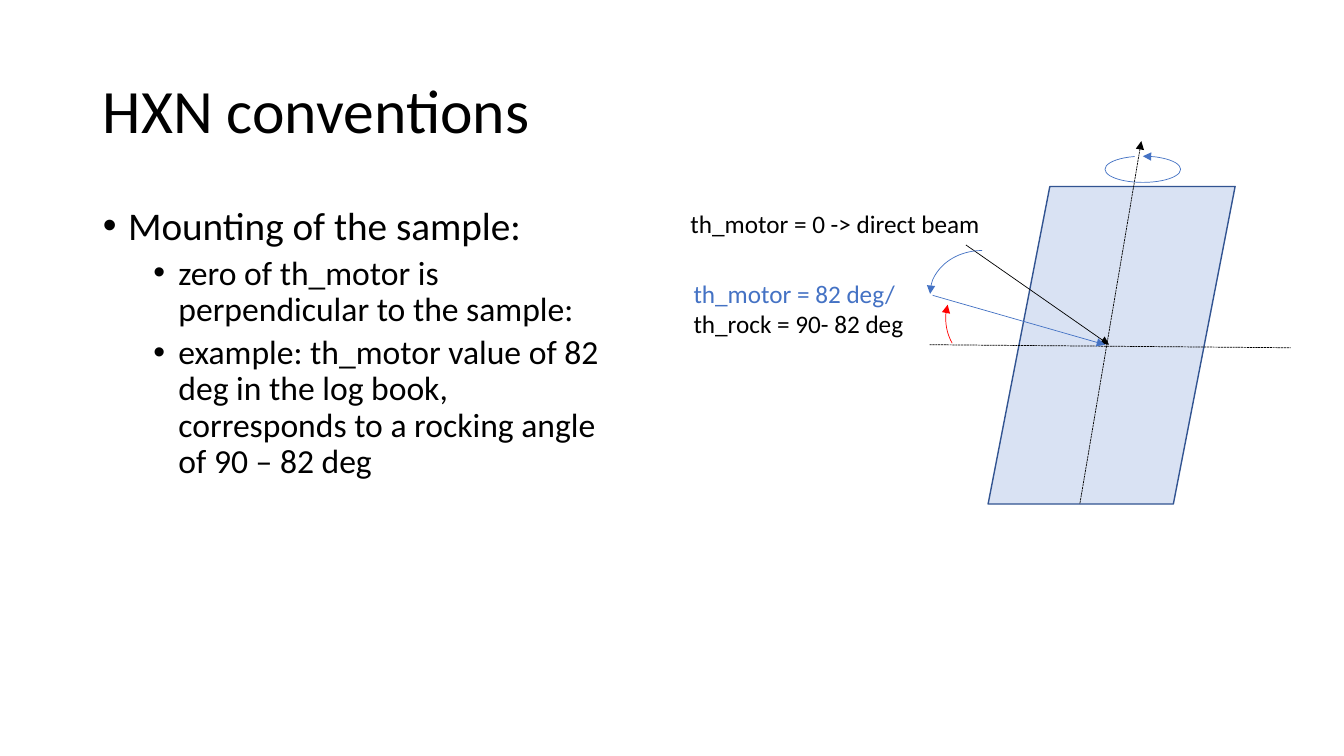
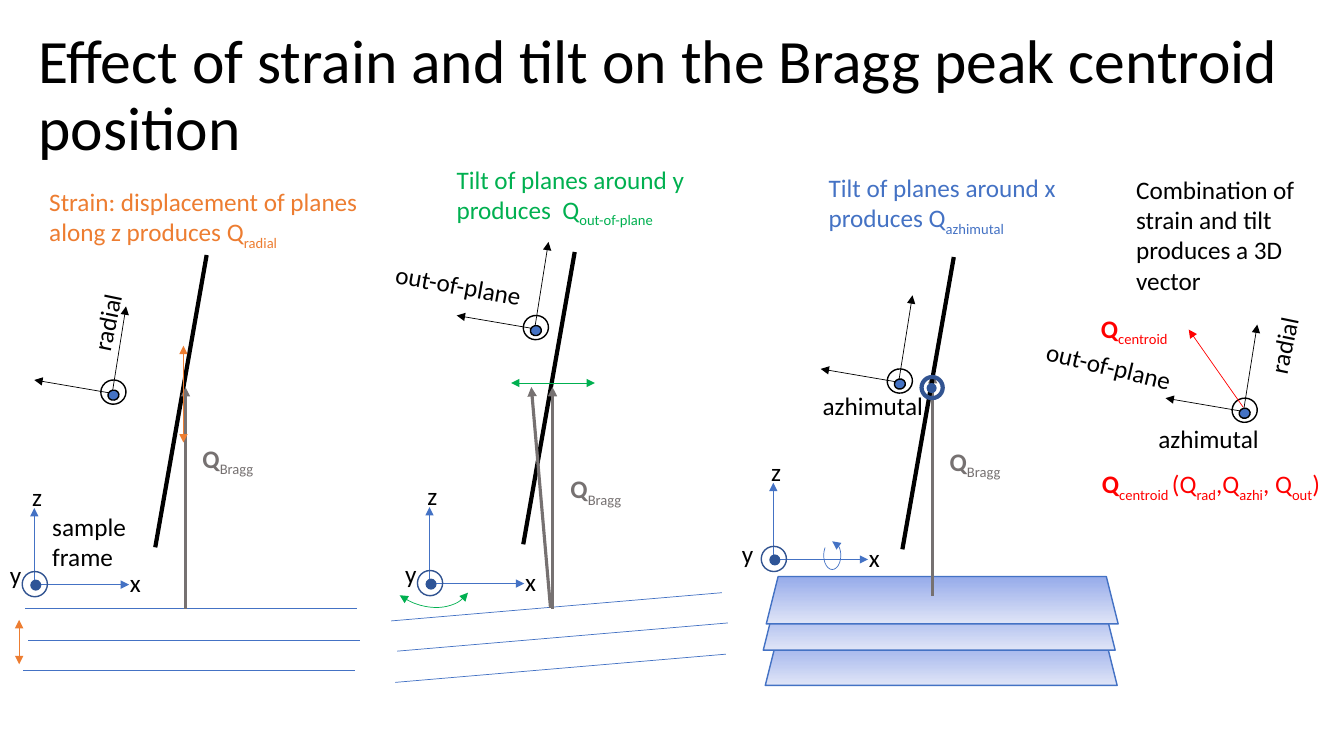
from dataclasses import dataclass
from typing import NamedTuple

from lxml import etree
from pptx import Presentation
from pptx import util as u
from pptx.dml.color import RGBColor
from pptx.enum import dml, shapes, text
from pptx.oxml import ns


@dataclass(frozen=True)
class Theme:
    font: str = "Calibri"
    black: str = "000000"
    blue: str = "4472C4"
    navy: str = "325491"
    deep_blue: str = "2F5597"
    orange: str = "ED7D31"
    green: str = "00B050"
    gray: str = "767171"
    red: str = "FF0000"
    slab_top: str = "96ABEA"
    slab_bottom: str = "E0E5F7"
    title: int = 44
    body: tuple[int, int] = (28, 24)
    label: int = 18
    thin: float = 0.5
    outline: float = 1
    medium: float = 2.25
    thick: float = 3


THEME = Theme()
SHAPE = shapes.MSO_SHAPE


class Point(NamedTuple):
    x: float
    y: float


class Box(NamedTuple):
    left: float
    top: float
    width: float
    height: float

    def lengths(self) -> list[u.Length]:
        return [u.Inches(value) for value in self]


@dataclass(frozen=True)
class Span:
    text: str
    color: str = THEME.black
    bold: bool = False
    subscript: bool = False


@dataclass(frozen=True)
class Stroke:
    color: str = THEME.black
    width: float = THEME.thin
    head: bool = False
    tail: bool = False
    dashed: bool = False


ARROW = Stroke(tail=True)
BLUE_LINE = Stroke(THEME.blue)
BLUE_ARROW = Stroke(THEME.blue, tail=True)
BLUE_START = Stroke(THEME.blue, head=True)
ORANGE_SPAN = Stroke(THEME.orange, head=True, tail=True)
GREEN_SPAN = Stroke(THEME.green, head=True, tail=True)
RED_ARROW = Stroke(THEME.red, tail=True)
BLACK_RING = Stroke(width=THEME.outline)
NAVY_RING = Stroke(THEME.navy, THEME.outline)
BLUE_EDGE = Stroke(THEME.blue, THEME.outline)
DASHES = Stroke(dashed=True)


def apply_stroke(item, stroke: Stroke) -> None:
    item.line.color.rgb = RGBColor.from_string(stroke.color)
    item.line.width = u.Pt(stroke.width)
    if stroke.dashed:
        item.line.dash_style = dml.MSO_LINE.SQUARE_DOT
    outline = item.element.spPr.get_or_add_ln()
    for tag, shown in (("a:headEnd", stroke.head), ("a:tailEnd", stroke.tail)):
        if shown:
            etree.SubElement(outline, ns.qn(tag), type="triangle")


def add_line(page, start: tuple, end: tuple, stroke: Stroke = ARROW) -> None:
    ends = [u.Inches(value) for value in (*start, *end)]
    connector = page.shapes.add_connector(shapes.MSO_CONNECTOR.STRAIGHT, *ends)
    apply_stroke(connector, stroke)
    etree.SubElement(connector.element.spPr, ns.qn("a:effectLst"))


def add_figure(page, kind, box: Box, stroke: Stroke | None = None,
               fill: str | None = None, rotation: float = 0):
    figure = page.shapes.add_shape(kind, *box.lengths())
    figure.shadow.inherit = False
    figure.rotation = rotation
    if fill:
        figure.fill.solid()
        figure.fill.fore_color.rgb = RGBColor.from_string(fill)
    else:
        figure.fill.background()
    if stroke:
        apply_stroke(figure, stroke)
    else:
        figure.line.fill.background()
    return figure


def add_arc(page, box: Box, stroke: Stroke, rotation: float = 0,
            end: float = 0) -> None:
    arc = add_figure(page, SHAPE.ARC, box, stroke, rotation=rotation)
    arc.adjustments[0] = 162
    arc.adjustments[1] = end


def add_label(page, box: Box, *spans: Span, wrap: bool = False,
              rotation: float = 0) -> None:
    label = page.shapes.add_textbox(*box.lengths())
    label.rotation = rotation
    frame = label.text_frame
    frame.word_wrap = wrap
    frame.auto_size = text.MSO_AUTO_SIZE.SHAPE_TO_FIT_TEXT
    para = frame.paragraphs[0]
    para.font.name = THEME.font
    para.font.size = u.Pt(THEME.label)
    for item in spans:
        span = para.add_run()
        span.text = item.text
        span.font.color.rgb = RGBColor.from_string(item.color)
        span.font.bold = item.bold
        if item.subscript:
            span.font._element.set("baseline", "-25000")


def place(holder, box: Box) -> None:
    holder.left, holder.top, holder.width, holder.height = box.lengths()
    holder.text_frame.auto_size = text.MSO_AUTO_SIZE.NONE


def format_para(para, size: int) -> None:
    para.alignment = text.PP_ALIGN.LEFT
    para.line_spacing = 0.9
    para.font.name = THEME.font
    para.font.size = u.Pt(size)
    para.font.color.rgb = RGBColor.from_string(THEME.black)


def add_page(deck, layout: int, title: str, box: Box):
    page = deck.slides.add_slide(deck.slide_layouts[layout])
    holder = page.shapes.title
    place(holder, box)
    holder.text_frame.vertical_anchor = text.MSO_ANCHOR.MIDDLE
    holder.text_frame.text = title
    format_para(holder.text_frame.paragraphs[0], THEME.title)
    return page


def fill_body(holder, box: Box, items: list[tuple[int, str]]) -> None:
    place(holder, box)
    frame = holder.text_frame
    frame.text = "\n".join(words for _, words in items)
    for para, (level, _) in zip(frame.paragraphs, items):
        para.level = level
        format_para(para, THEME.body[level])
        para.space_before = u.Pt(5 if level else 10)
        properties = para._p.get_or_add_pPr()
        properties.set("marL", str(u.Inches(0.25 + 0.5 * level)))
        properties.set("indent", str(u.Inches(-0.25)))
        bullet = etree.Element(ns.qn("a:buChar"), char="•")
        properties.find(ns.qn("a:defRPr")).addprevious(bullet)


def q_spans(name: str, color: str) -> tuple[Span, Span]:
    return Span("Q", color, bold=True), Span(name, color, subscript=True)


def add_heading(page, box: Box, words: str, name: str, color: str) -> None:
    add_label(page, box, Span(words, color), Span(name, color, subscript=True),
              wrap=True)


def add_detector_axes(page, x: float, y: float) -> None:
    add_line(page, (x + 0.11, y + 0.15), (x + 0.25, y - 0.73))
    add_line(page, (x + 0.1, y + 0.13), (x - 0.66, y))
    add_figure(page, SHAPE.OVAL, Box(x, y, 0.25, 0.24), BLACK_RING,
               rotation=348.7)
    add_figure(page, SHAPE.OVAL, Box(x + 0.07, y + 0.1, 0.11, 0.1), BLACK_RING,
               THEME.blue, 348.7)


def add_sample_axes(page, x: float, y: float,
                    y_shift: Point = Point(-0.22, -0.17)) -> None:
    add_line(page, (x + 0.12, y + 0.13), (x + 0.12, y - 0.63), BLUE_ARROW)
    add_line(page, (x + 0.09, y + 0.13), (x + 1.06, y + 0.13), BLUE_ARROW)
    add_figure(page, SHAPE.OVAL, Box(x, y, 0.25, 0.25), NAVY_RING)
    add_figure(page, SHAPE.OVAL, Box(x + 0.08, y + 0.08, 0.11, 0.11),
               fill=THEME.deep_blue)
    shifts = {"z": Point(0, -0.94), "x": Point(0.97, -0.09), "y": y_shift}
    for name, shift in shifts.items():
        add_label(page, Box(x + shift.x, y + shift.y, 0.31, 0.4), Span(name))


def add_bragg_arrow(page, start: Point, end: Point) -> None:
    add_line(page, start, end, Stroke(THEME.gray, THEME.medium, tail=True))


def add_bragg_label(page, x: float, y: float) -> None:
    add_label(page, Box(x, y, 0.76, 0.4), *q_spans("Bragg", THEME.gray))


def add_detector_plane(page, x: float, y: float) -> None:
    add_line(page, (x, y), (x - 0.51, y + 2.9), Stroke(width=THEME.thick))


def add_radial(page, x: float, y: float) -> None:
    add_label(page, Box(x, y, 0.78, 0.4), Span("radial"), rotation=281.7)


def add_out_of_plane(page, x: float, y: float, rotation: float) -> None:
    add_label(page, Box(x, y, 1.47, 0.4), Span("out-of-plane"),
              rotation=rotation)


def add_azhimutal(page, x: float, y: float) -> None:
    add_label(page, Box(x, y, 1.21, 0.4), Span("azhimutal"))


def draw_conventions(deck) -> None:
    page = add_page(deck, 1, "HXN conventions", Box(0.92, 0.4, 11.5, 1.45))
    fill_body(page.placeholders[1], Box(0.92, 2, 5.33, 4.76), [
        (0, "Mounting of the sample:"),
        (1, "zero of th_motor is perpendicular to the sample:"),
        (1, "example: th_motor value of 82 deg in the log book, "
            "corresponds to a rocking angle of 90 – 82 deg"),
    ])
    sample = add_figure(page, SHAPE.PARALLELOGRAM, Box(9.8, 1.85, 2.45, 3.15),
                        NAVY_RING, THEME.blue)
    fill_color = sample.element.spPr.find(ns.qn("a:solidFill"))[0]
    etree.SubElement(fill_color, ns.qn("a:alpha"), val="20000")
    add_line(page, (11.32, 1.4), (10.71, 5), Stroke(head=True, dashed=True))
    add_line(page, (9.22, 3.42), (12.8, 3.45), DASHES)
    add_line(page, (9.58, 2.43), (11, 3.42))
    add_arc(page, Box(10.96, 1.55, 0.75, 0.26), BLUE_START, end=142.34)
    add_label(page, Box(6.75, 2.02, 3.1, 0.4),
              Span("th_motor = 0 -> direct beam"))
    add_line(page, (10.96, 3.42), (9.25, 2.93), BLUE_START)
    add_label(page, Box(6.78, 2.71, 2.62, 0.71),
              Span("th_motor = 82 deg/ ", THEME.blue),
              Span("th_rock = 90- 82 deg"), wrap=True)
    add_arc(page, Box(9.31, 2.4, 0.86, 1.03), BLUE_START, 270)
    add_arc(page, Box(9.38, 2.66, 1, 1), RED_ARROW, 240.7, 189.12)


def draw_strain(page) -> None:
    add_detector_axes(page, 1, 3.77)
    add_radial(page, 0.67, 2.99)
    for x, y in ((0.25, 6.04), (0.28, 6.35), (0.23, 6.65)):
        add_line(page, (x, y), (x + 3.29, y), BLUE_LINE)
    add_bragg_label(page, 1.91, 4.35)
    add_detector_plane(page, 2.05, 2.53)
    add_heading(page, Box(0.39, 1.8, 3.27, 0.71),
                "Strain: displacement of planes along z produces Q",
                "radial", THEME.orange)
    add_sample_axes(page, 0.22, 5.67)
    add_label(page, Box(0.42, 5.02, 1.16, 0.71), Span("sample frame"),
              wrap=True)
    add_line(page, (0.19, 6.15), (0.19, 6.59), ORANGE_SPAN)
    add_bragg_arrow(page, Point(1.84, 6.04), Point(1.84, 3.84))
    add_line(page, (1.82, 3.43), (1.82, 4.39), ORANGE_SPAN)


def draw_tilt_y(page) -> None:
    add_detector_axes(page, 5.19, 3.13)
    add_out_of_plane(page, 3.82, 2.63, 10.5)
    for x, y in ((3.88, 6.16), (3.94, 6.46), (3.92, 6.77)):
        add_line(page, (x, y), (x + 3.28, y - 0.28), BLUE_LINE)
    add_bragg_label(page, 5.56, 4.65)
    add_detector_plane(page, 5.7, 2.5)
    add_line(page, (5.9, 3.8), (5.07, 3.8), GREEN_SPAN)
    add_heading(page, Box(4.43, 1.58, 2.59, 0.71),
                "Tilt of planes around y produces  Q", "out-of-plane",
                THEME.green)
    add_bragg_arrow(page, Point(5.46, 6.03), Point(5.27, 3.84))
    add_arc(page, Box(3.79, 5.03, 0.82, 1.08), GREEN_SPAN, 125.1)
    add_sample_axes(page, 4.14, 5.66)
    add_bragg_arrow(page, Point(5.48, 6.04), Point(5.48, 3.84))


def draw_tilt_x(page) -> None:
    for x, y in ((7.59, 6.33), (7.57, 5.98), (7.6, 5.72)):
        slab = add_figure(page, SHAPE.TRAPEZOID, Box(x, y, 3.49, 0.47),
                          BLUE_EDGE)
        slab.fill.gradient()
        slab.fill.gradient_angle = 270
        colors = (THEME.slab_top, THEME.slab_bottom)
        for stop, color in zip(slab.fill.gradient_stops, colors):
            stop.color.rgb = RGBColor.from_string(color)
    add_detector_axes(page, 8.8, 3.66)
    add_azhimutal(page, 8.06, 3.82)
    add_sample_axes(page, 7.55, 5.42, Point(-0.29, -0.13))
    add_heading(page, Box(8.12, 1.66, 2.67, 0.71),
                "Tilt of planes around x produces Q", "azhimutal", THEME.blue)
    add_arc(page, Box(8.17, 5.37, 0.17, 0.28), BLUE_START, end=136.84)
    add_bragg_arrow(page, Point(9.25, 5.91), Point(9.25, 3.71))
    add_bragg_label(page, 9.32, 4.38)
    add_detector_plane(page, 9.46, 2.55)
    add_figure(page, SHAPE.OVAL, Box(9.14, 3.74, 0.21, 0.21),
               Stroke(THEME.navy, THEME.thick))
    add_figure(page, SHAPE.OVAL, Box(9.19, 3.8, 0.1, 0.1),
               fill=THEME.deep_blue)


def draw_combination(page) -> None:
    add_label(page, Box(11.17, 1.68, 2.3, 1.31),
              Span("Combination of strain and tilt produces a 3D vector"),
              wrap=True)
    add_detector_axes(page, 12.22, 3.95)
    add_radial(page, 12.34, 3.22)
    add_azhimutal(page, 11.39, 4.15)
    add_out_of_plane(page, 10.27, 3.43, 13.5)
    add_line(page, (12.33, 4.04), (11.79, 3.27), RED_ARROW)
    add_label(page, Box(10.82, 3.06, 0.94, 0.4),
              *q_spans("centroid", THEME.red))
    parts = ("(Q", "rad", ",Q", "azhi", ", Q", "out", ")")
    add_label(page, Box(10.83, 4.6, 2.56, 0.4),
              *q_spans("centroid ", THEME.red),
              *(Span(part, THEME.red, subscript=index % 2 == 1)
                for index, part in enumerate(parts)))


def main() -> None:
    deck = Presentation()
    deck.slide_width, deck.slide_height = u.Inches(13.33), u.Inches(7.5)
    draw_conventions(deck)
    page = add_page(
        deck, 5, "Effect of strain and tilt on the Bragg peak centroid position",
        Box(0.28, 0.24, 12.52, 1.45))
    for draw_panel in (draw_strain, draw_tilt_y, draw_tilt_x, draw_combination):
        draw_panel(page)
    deck.save("out.pptx")


if __name__ == "__main__":
    main()
